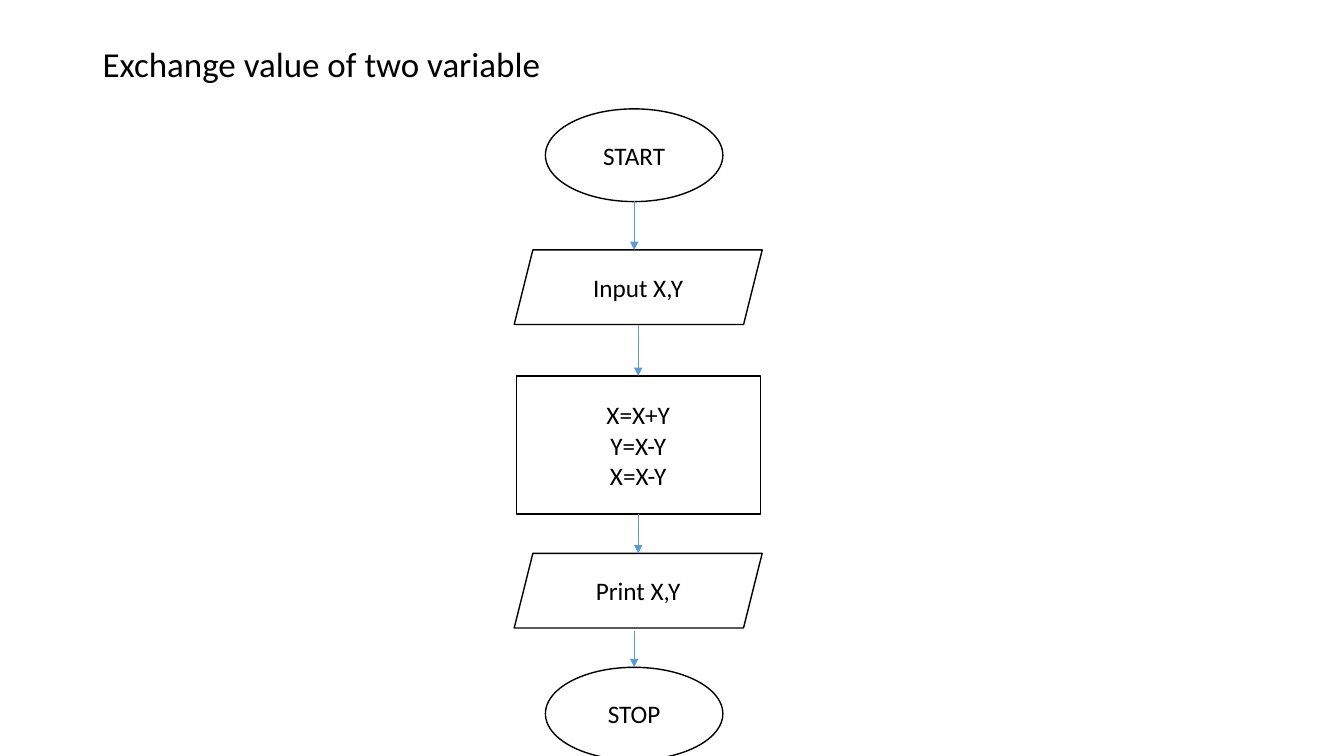
from lxml import etree
from pptx import Presentation
from pptx.dml.color import RGBColor
from pptx.enum.shapes import MSO_CONNECTOR, MSO_SHAPE
from pptx.enum.text import MSO_ANCHOR, PP_ALIGN
from pptx.oxml.ns import qn
from pptx.util import Pt

PX = 9144  # EMU per px, 100 px to the inch
FONT = "Calibri"
COLORS = {"ink": "000000", "paper": "FFFFFF", "arrow": "5B9BD5"}
OVAL = MSO_SHAPE.OVAL
SLANTED = MSO_SHAPE.PARALLELOGRAM
RECTANGLE = MSO_SHAPE.RECTANGLE
STRAIGHT = MSO_CONNECTOR.STRAIGHT
MIDDLE = MSO_ANCHOR.MIDDLE
LEFT, CENTER = PP_ALIGN.LEFT, PP_ALIGN.CENTER

# Flowchart steps: shape, left, top, width, height, lines of text
STEPS = [
    (OVAL, 541, 108, 176, 92, ["START"]),
    (SLANTED, 510, 248, 246, 74, ["Input X,Y"]),
    (RECTANGLE, 512, 373, 242, 137, ["X=X+Y", "Y=X-Y", "X=X-Y"]),
    (SLANTED, 510, 549, 246, 74, ["Print X,Y"]),
    (OVAL, 541, 662, 176, 92, ["STOP"]),
]

# Arrows: centre x, start y, end y
ARROWS = [(629, 199, 248), (633, 322, 373), (633, 510, 549), (629, 626, 662)]


def color(name):
    return RGBColor.from_string(COLORS[name])


def emu(*lengths):
    return [length * PX for length in lengths]


def write_lines(box, lines, size, align, spacing=1.0):
    frame = box.text_frame
    frame.word_wrap = True
    frame.vertical_anchor = MIDDLE
    for index, line in enumerate(lines):
        para = frame.add_paragraph() if index else frame.paragraphs[0]
        para.alignment = align
        para.line_spacing = spacing
        span = para.add_run()
        span.text = line
        span.font.name = FONT
        span.font.size = Pt(size)
        span.font.color.rgb = color("ink")


def add_title(page, text):
    box = page.shapes.add_textbox(*emu(92, 40, 1150, 51))
    write_lines(box, [text], 25, LEFT, 0.9)


def add_step(page, kind, left, top, width, height, lines):
    box = page.shapes.add_shape(kind, *emu(left, top, width, height))
    box.shadow.inherit = False
    box.fill.solid()
    box.fill.fore_color.rgb = color("paper")
    box.line.color.rgb = color("ink")
    box.line.width = Pt(1)
    write_lines(box, lines, 18, CENTER)


def add_arrow(page, x, start, end):
    arrow = page.shapes.add_connector(STRAIGHT, *emu(x, start, x, end))
    arrow.line.color.rgb = color("arrow")
    arrow.line.width = Pt(0.5)
    outline = arrow.line._get_or_add_ln()
    etree.SubElement(outline, qn("a:tailEnd"), type="triangle")
    etree.SubElement(arrow._element.spPr, qn("a:effectLst"))


def main():
    deck = Presentation()
    deck.slide_width, deck.slide_height = emu(1333, 750)
    page = deck.slides.add_slide(deck.slide_layouts[6])

    # Title
    add_title(page, "Exchange value of two variable")

    # Flowchart
    for step in STEPS:
        add_step(page, *step)
    for arrow in ARROWS:
        add_arrow(page, *arrow)

    deck.save("out.pptx")


if __name__ == "__main__":
    main()
